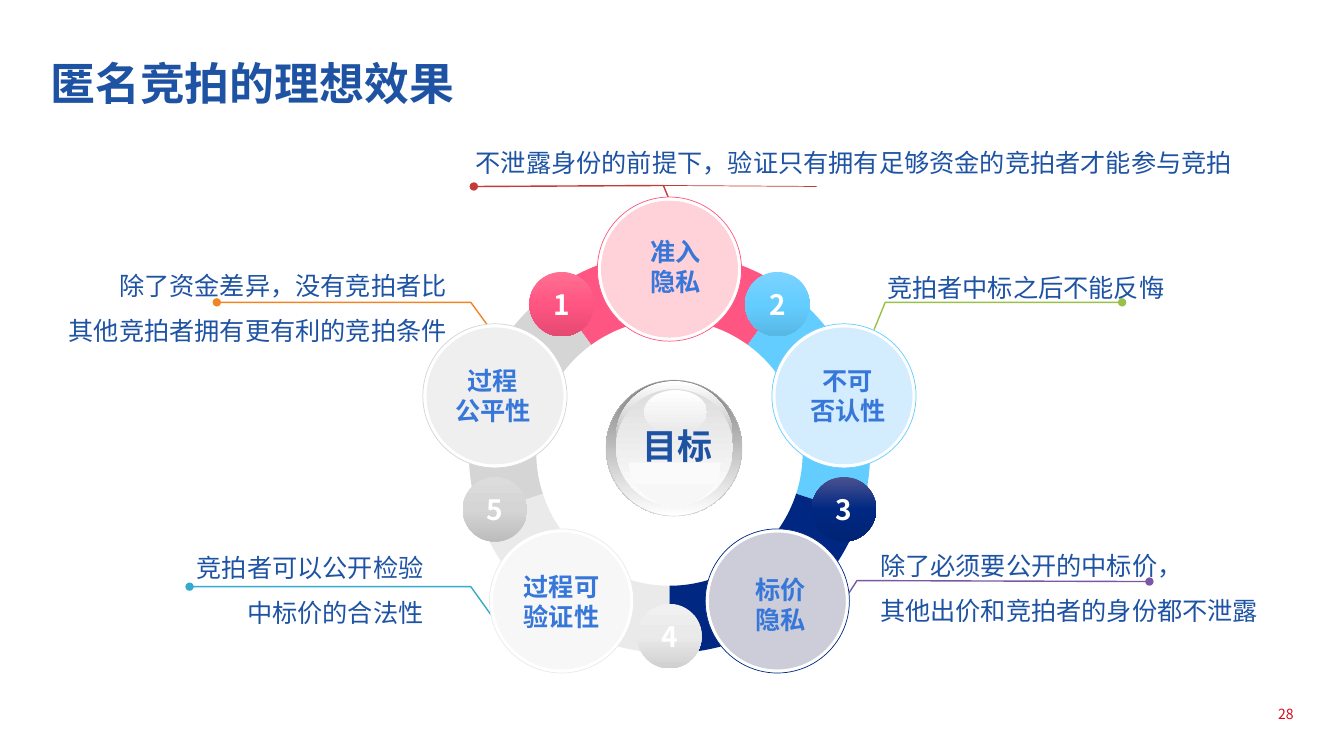
import math

from lxml import etree
from pptx import Presentation
from pptx.dml.color import RGBColor
from pptx.enum.shapes import MSO_CONNECTOR, MSO_SHAPE
from pptx.enum.text import MSO_ANCHOR, MSO_AUTO_SIZE, PP_ALIGN
from pptx.oxml.ns import qn
from pptx.util import Inches, Pt

OVAL, ARC, CHORD = MSO_SHAPE.OVAL, MSO_SHAPE.BLOCK_ARC, MSO_SHAPE.CHORD
STRAIGHT = MSO_CONNECTOR.STRAIGHT
LEFT, CENTER, RIGHT = PP_ALIGN.LEFT, PP_ALIGN.CENTER, PP_ALIGN.RIGHT
TOP, MIDDLE, BOTTOM = MSO_ANCHOR.TOP, MSO_ANCHOR.MIDDLE, MSO_ANCHOR.BOTTOM
NO_AUTOFIT = MSO_AUTO_SIZE.NONE

FONT = "Noto Sans CJK SC"
BLUE = RGBColor(0x1E, 0x53, 0xA4)
LABEL_BLUE = RGBColor(0x37, 0x77, 0xDA)
WHITE = RGBColor(0xFF, 0xFF, 0xFF)
RED = RGBColor(0xD8, 0x0C, 0x18)
PINK = RGBColor(0xFF, 0x55, 0x82)
SKY = RGBColor(0x64, 0xCD, 0xFF)
NAVY = RGBColor(0x00, 0x28, 0x82)
PALE = RGBColor(0xEA, 0xEA, 0xEA)
GREY = RGBColor(0xD5, 0xD5, 0xD5)
PINK_TINT = RGBColor(0xFF, 0xD1, 0xD8)
SKY_TINT = RGBColor(0xD3, 0xED, 0xFF)
NAVY_TINT = RGBColor(0xCC, 0xCD, 0xD8)
PALE_TINT = RGBColor(0xF7, 0xF7, 0xF7)
GREY_TINT = RGBColor(0xEF, 0xEF, 0xEF)
STEEL = RGBColor(0x80, 0x80, 0x80)
SILVER = RGBColor(0xC0, 0xC0, 0xC0)
MIST = RGBColor(0xDD, 0xDD, 0xDD)
HAZE = RGBColor(0xE9, 0xE9, 0xE9)
BRICK = RGBColor(0xC4, 0x3B, 0x38)
ORANGE = RGBColor(0xF1, 0x85, 0x26)
TEAL = RGBColor(0x34, 0xAB, 0xCC)
PURPLE = RGBColor(0x7A, 0x57, 0xA4)
GREEN = RGBColor(0x99, 0xC0, 0x47)

CX, CY, ORBIT = 6.64, 4.49, 1.82
STEP, FIRST_ANGLE = 72, 234

# colour, tint, badge top, badge bottom, label lines, label centre
GOALS = [
    (PINK, PINK_TINT, RGBColor(0xFF, 0x70, 0x92), RGBColor(0xE5, 0x49, 0x72),
     ["准入", "隐私"], (6.7, 2.65)),
    (SKY, SKY_TINT, RGBColor(0x7B, 0xD3, 0xFF), RGBColor(0x57, 0xB7, 0xE5),
     ["不可", "否认性"], (8.41, 3.93)),
    (NAVY, NAVY_TINT, RGBColor(0x4B, 0x52, 0x90), RGBColor(0x00, 0x24, 0x74),
     ["标价", "隐私"], (7.74, 6)),
    (PALE, PALE_TINT, RGBColor(0xF0, 0xF0, 0xF0), RGBColor(0xD0, 0xD0, 0xD0),
     ["过程可", "验证性"], (5.57, 5.97)),
    (GREY, GREY_TINT, RGBColor(0xDC, 0xDC, 0xDC), RGBColor(0xBD, 0xBD, 0xBD),
     ["过程", "公平性"], (4.89, 3.93)),
]

# box, lines, alignment, line spacing, leader colour, leader points
CALLOUTS = [
    ((4.62, 1.41, 7.78, 0.4), ["不泄露身份的前提下，验证只有拥有足够资金的竞拍者才能参与竞拍"],
     LEFT, 1, BRICK, [(6.67, 2.06), (6.58, 1.84), (4.7, 1.85)]),
    ((8.7, 2.5, 2.98, 0.56), ["竞拍者中标之后不能反悔"],
     LEFT, 1.5, GREEN, [(8.67, 3.27), (8.78, 3), (11.13, 3)]),
    ((8.63, 5.26, 3.99, 0.96), ["除了必须要公开的中标价，", "其他出价和竞拍者的身份都不泄露"],
     LEFT, 1.5, PURPLE, [(8.35, 5.99), (8.5, 5.76), (11.4, 5.77)]),
    ((1.43, 5.28, 2.87, 0.96), ["竞拍者可以公开检验", "中标价的合法性"],
     RIGHT, 1.5, TEAL, [(4.87, 6.1), (4.67, 5.82), (1.88, 5.82)]),
    ((0.5, 2.48, 4.03, 1.01), ["除了资金差异，没有竞拍者比", "其他竞拍者拥有更有利的竞拍条件"],
     RIGHT, 1.5, ORANGE, [(4.86, 3.26), (4.67, 3), (2.15, 3)]),
]


def on_ring(angle):
    a = math.radians(angle)
    return CX + ORBIT * math.cos(a), CY + ORBIT * math.sin(a)


def around(center, w, h):
    """Box of the given size centred on a point."""
    return center[0] - w / 2, center[1] - h / 2, w, h


class Deck:
    def __init__(self, prs):
        self.slide = prs.slides.add_slide(prs.slide_layouts[5])
        self.shapes = self.slide.shapes

    def fill_text(self, tf, lines, size, color, bold=False, align=LEFT,
                  spacing=1, anchor=TOP, inset=None, wrap=True):
        frame = {"word_wrap": wrap, "auto_size": NO_AUTOFIT,
                 "vertical_anchor": anchor}
        if inset is not None:
            for side in ("left", "top", "right", "bottom"):
                frame["margin_" + side] = Inches(inset)
        for name, value in frame.items():
            setattr(tf, name, value)
        for i, line in enumerate(lines):
            p = tf.add_paragraph() if i else tf.paragraphs[0]
            p.alignment, p.line_spacing = align, spacing
            r = p.add_run()
            r.text = line
            for name, value in {"size": Pt(size), "bold": bold, "name": FONT}.items():
                setattr(r.font, name, value)
            r.font.color.rgb = color
            etree.SubElement(r.font._element, qn("a:ea"), typeface=FONT)

    def title(self, text, box):
        sp = self.shapes.title
        for name, value in zip(("left", "top", "width", "height"), box):
            setattr(sp, name, Inches(value))
        self.fill_text(sp.text_frame, [text], 32, BLUE, bold=True, spacing=1.1, inset=0)

    def text(self, box, lines, size, color, **style):
        sp = self.shapes.add_textbox(*map(Inches, box))
        self.fill_text(sp.text_frame, lines, size, color, **style)

    def shape(self, kind, box, fill, line=None, width=0.5, adjust=()):
        """Preset shape; a list of colours as fill gives a top-down gradient."""
        sp = self.shapes.add_shape(kind, *map(Inches, box))
        sp.shadow.inherit = False
        for i, value in enumerate(adjust):
            sp.adjustments[i] = value
        if isinstance(fill, list):
            self.gradient(sp, fill)
        else:
            sp.fill.solid()
            sp.fill.fore_color.rgb = fill
        if line is None:
            sp.line.fill.background()
        else:
            sp.line.color.rgb, sp.line.width = line, Pt(width)
        return sp

    def gradient(self, sp, colors):
        sp.fill.gradient()
        sp.fill.gradient_angle = 270
        stops = sp._element.spPr.find(".//" + qn("a:gsLst"))
        for gs in list(stops):
            stops.remove(gs)
        for i, color in enumerate(colors):
            pos = 100000 * i // (len(colors) - 1)
            gs = etree.SubElement(stops, qn("a:gs"), pos=str(pos))
            etree.SubElement(gs, qn("a:srgbClr"), val=str(color))

    def leader(self, points, color):
        """Bent open line that ends in a dot."""
        start, *rest = [(Inches(x), Inches(y)) for x, y in points]
        fb = self.shapes.build_freeform(*start)
        fb.add_line_segments(rest, close=False)
        sp = fb.convert_to_shape()
        sp.shadow.inherit = False
        sp.fill.background()
        sp.line.color.rgb, sp.line.width = color, Pt(1)
        ln = sp._element.spPr.find(qn("a:ln"))
        etree.SubElement(ln, qn("a:tailEnd"), type="oval")

    def line(self, start, end, color, width):
        cn = self.shapes.add_connector(STRAIGHT, *map(Inches, start + end))
        cn.line.color.rgb, cn.line.width = color, Pt(width)
        etree.SubElement(cn._element.spPr, qn("a:effectLst"))


def main():
    prs = Presentation()
    prs.slide_width, prs.slide_height = Inches(13.33), Inches(7.5)
    deck = Deck(prs)
    deck.title("匿名竞拍的理想效果", (0.5, 0.5, 12.33, 0.97))
    deck.text((9.83, 7, 3, 0.17), ["28"], 10, RED, align=RIGHT, anchor=BOTTOM, inset=0)

    for *_, color, points in CALLOUTS:
        deck.leader(points, color)
    deck.line((6.58, 1.84), (8.1, 1.85), BRICK, 0.5)

    angles = [(FIRST_ANGLE + STEP * i) % 360 for i in range(len(GOALS))]
    for angle, (color, *_) in zip(angles, GOALS):
        # Angle adjustments count 60000 per degree, scaled by 100000
        ends = [a % 360 * 0.6 for a in (angle, angle + STEP)]
        deck.shape(ARC, around((CX, CY), 3.98, 3.98), color, adjust=(*ends, 0.168))
    for angle, (color, tint, _, _, label, center) in zip(angles, GOALS):
        node = on_ring(angle + STEP / 2)
        deck.shape(OVAL, around(node, 1.43, 1.43), WHITE, color)
        deck.shape(OVAL, around(node, 1.35, 1.35), tint, tint)
        deck.text(around(center, 0.96, 0.71), label, 18, LABEL_BLUE,
                  bold=True, align=CENTER, wrap=False)
    for i, (angle, (color, _, light, dark, *_)) in enumerate(zip(angles, GOALS), 1):
        sp = deck.shape(OVAL, around(on_ring(angle), 0.64, 0.64), [light, color, dark])
        deck.fill_text(sp.text_frame, [str(i)], 20, WHITE, bold=True, align=CENTER,
                       anchor=MIDDLE, inset=0, wrap=False)

    deck.shape(OVAL, (6.01, 3.77, 1.35, 1.35), [STEEL, WHITE], SILVER, 0.25)
    deck.shape(OVAL, (6.11, 3.78, 1.16, 1.12), [WHITE, STEEL])
    deck.shape(OVAL, (6.11, 3.86, 1.16, 1.16), [MIST, WHITE])
    deck.shape(CHORD, (6.24, 4.16, 0.91, 0.86), [WHITE, PALE_TINT], adjust=(0, 108))
    deck.shape(OVAL, (6.39, 3.87, 0.62, 0.43), [WHITE, HAZE])
    deck.text((6.27, 4.16, 0.9, 0.52), ["目标"], 25, BLUE, bold=True, wrap=False)

    for box, lines, align, spacing, *_ in CALLOUTS:
        deck.text(box, lines, 18, BLUE, align=align, spacing=spacing,
                  wrap=align == RIGHT)
    prs.save("out.pptx")


if __name__ == "__main__":
    main()
